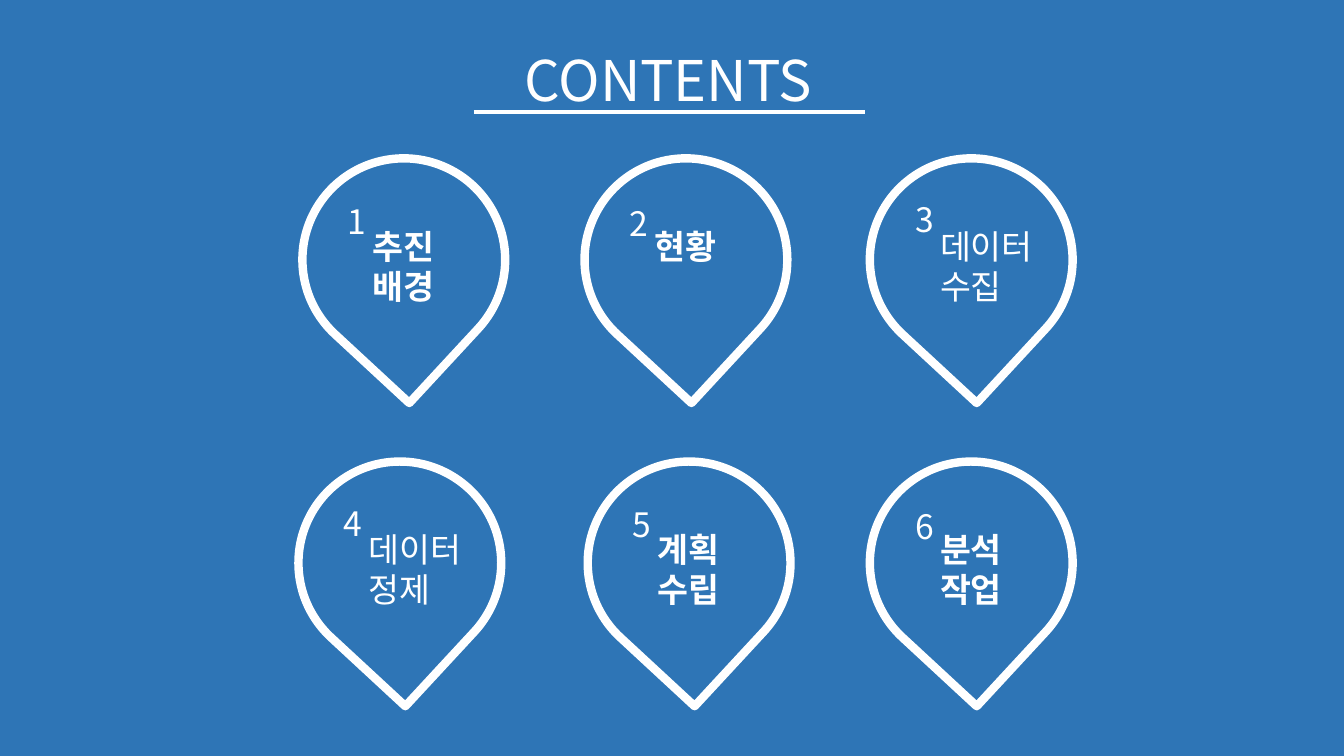
from lxml.etree import SubElement
from pptx import Presentation
from pptx.dml.color import RGBColor
from pptx.enum.shapes import MSO_CONNECTOR, MSO_SHAPE
from pptx.enum.text import MSO_ANCHOR, MSO_AUTO_SIZE, PP_ALIGN
from pptx.oxml.ns import qn
from pptx.util import Cm, Pt

COLORS = {"blue": "2E75B6", "white": "FFFFFF"}
NOTO = "Noto Sans CJK KR"
PIN_SIZE = 5.11
ROWS = [
    (3.99, [
        (7.62, 0.94, "1", ["추진 배경"], 2.67, "Arial", True),
        (14.73, 0.99, "2", ["현황"], 2.67, NOTO, True),
        (21.92, 0.91, "3", ["데이터 수집"], 3.15, NOTO, False),
    ]),
    (11.63, [
        (7.52, 0.91, "4", ["데이터 정제"], 3.15, NOTO, False),
        (14.81, 0.94, "5", ["계획수립"], 2.67, "Arial", True),
        (21.92, 0.99, "6", ["분석", "작업"], 2.67, NOTO, True),
    ]),
]


class Deck:
    def __init__(self):
        self.prs = Presentation()
        self.prs.slide_width, self.prs.slide_height = Cm(33.87), Cm(19.05)
        self.s = self.prs.slides.add_slide(self.prs.slide_layouts[5])
        self.fill(self.s.background.fill, "blue")

    def rgb(self, name):
        return RGBColor.from_string(COLORS[name])

    def fill(self, fill, name):
        fill.solid()
        fill.fore_color.rgb = self.rgb(name)

    def stroke(self, line, width):
        self.fill(line.fill, "white")
        line.width = Pt(width)

    def set_text(self, sp, lines, size=24, font=NOTO, bold=False, align=PP_ALIGN.LEFT):
        tf = sp.text_frame
        frame = {"word_wrap": True, "auto_size": MSO_AUTO_SIZE.SHAPE_TO_FIT_TEXT,
                 "vertical_anchor": MSO_ANCHOR.TOP}
        for name, value in frame.items():
            setattr(tf, name, value)
        for i, line in enumerate(lines):
            p = tf.add_paragraph() if i else tf.paragraphs[0]
            p.alignment = align
            r = p.add_run()
            r.text = line
            for name, value in {"size": Pt(size), "name": font, "bold": bold}.items():
                setattr(r.font, name, value)
            r.font.color.rgb = self.rgb("white")
            SubElement(r.font._element, qn("a:ea"), typeface=font)

    def title(self, text, x, y, w, h):
        sp = self.s.shapes.title
        box = {"left": x, "top": y, "width": w, "height": h}
        for name, value in box.items():
            setattr(sp, name, Cm(value))
        self.set_text(sp, [text], size=40, align=PP_ALIGN.CENTER)

    def text(self, lines, x, y, w, h, **style):
        sp = self.s.shapes.add_textbox(Cm(x), Cm(y), Cm(w), Cm(h))
        self.set_text(sp, lines, **style)

    def rule(self, x1, x2, y):
        line = self.s.shapes.add_connector(
            MSO_CONNECTOR.STRAIGHT, Cm(x1), Cm(y), Cm(x2), Cm(y))
        self.stroke(line.line, 3)
        SubElement(line._element.spPr, qn("a:effectLst"))

    def pin(self, x, y):
        sp = self.s.shapes.add_shape(
            MSO_SHAPE.TEAR, Cm(x), Cm(y), Cm(PIN_SIZE), Cm(PIN_SIZE))
        sp.rotation = 132.8
        sp.shadow.inherit = False
        self.fill(sp.fill, "blue")
        self.stroke(sp.line, 6)


def main():
    deck = Deck()
    deck.title("CONTENTS", 12.19, 1.02, 9.3, 1.96)
    deck.rule(11.94, 21.79, 2.82)
    for y, pins in ROWS:
        for x, drop, number, label, width, font, bold in pins:
            deck.pin(x, y)
            height = 1.27 if label == ["현황"] else 2.31
            deck.text(label, x + 1.52, y + 1.57, width, height, font=font, bold=bold)
            deck.text([number], x + 0.89, y + drop, 1.19, 1.27)
    deck.prs.save("out.pptx")


if __name__ == "__main__":
    main()
